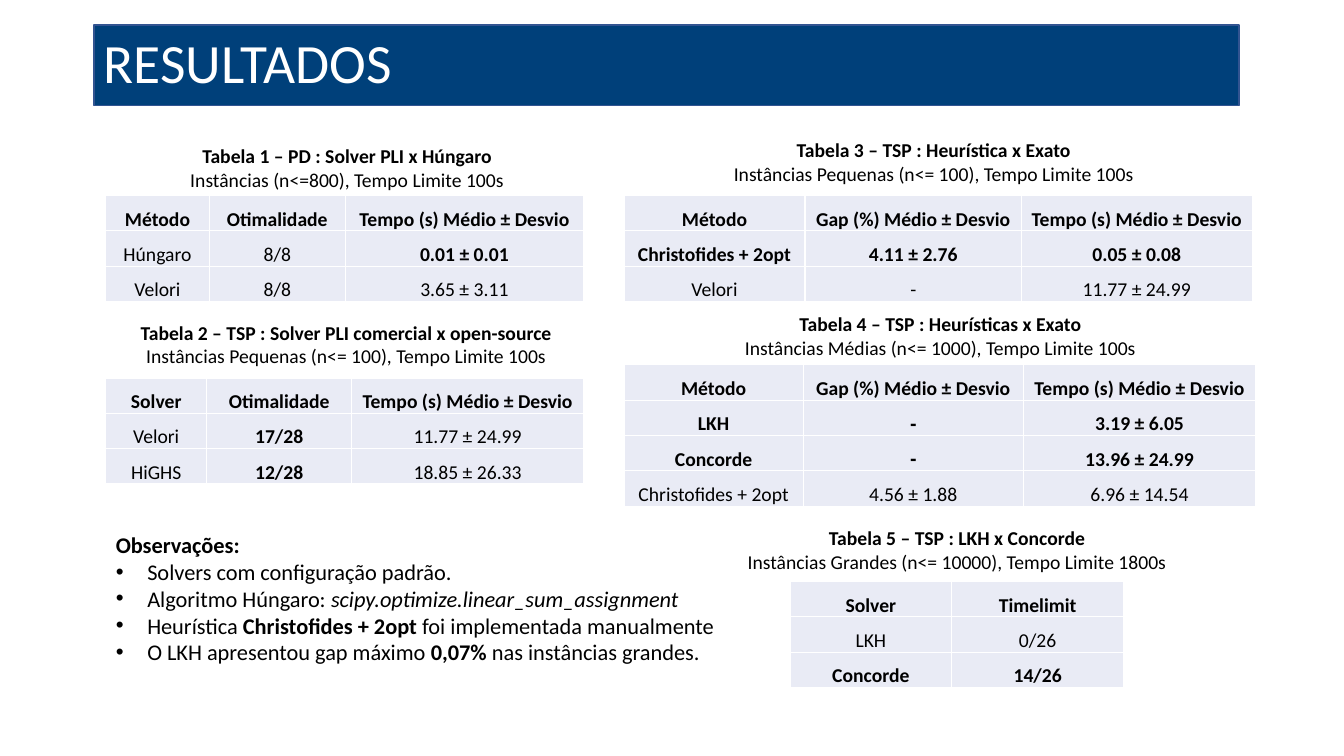
"""Build the RESULTADOS slide with five captioned result tables and observations."""
from lxml import etree
from pptx import Presentation
from pptx.dml.color import RGBColor
from pptx.enum.shapes import MSO_SHAPE
from pptx.enum.text import MSO_ANCHOR, MSO_AUTO_SIZE, PP_ALIGN
from pptx.oxml.ns import qn
from pptx.util import Pt

RECTANGLE = MSO_SHAPE.RECTANGLE
MIDDLE = MSO_ANCHOR.MIDDLE
FIT_SHAPE = MSO_AUTO_SIZE.SHAPE_TO_FIT_TEXT
LEFT, CENTER = PP_ALIGN.LEFT, PP_ALIGN.CENTER

NAVY = RGBColor(0x00, 0x40, 0x7A)
EDGE = RGBColor(0x32, 0x54, 0x91)
PALE = RGBColor(0xE9, 0xEB, 0xF5)
BLACK = RGBColor(0, 0, 0)
WHITE = RGBColor(255, 255, 255)
FONT, DASH_FONT = "Calibri", "Arial"
ROW_HEIGHT, CAPTION_HEIGHT, BULLET_INDENT = 22.6, 41, 22.5

TITLE = "RESULTADOS"
TITLE_BOX = (67, 18, 818, 57.6)
TIME = "Tempo (s) Médio ± Desvio"
GAP = "Gap (%) Médio ± Desvio"

TABLES = [
    {"caption": ("Tabela 1 – PD : Solver PLI x Húngaro",
                 "Instâncias (n<=800), Tempo Limite 100s"),
     "caption_at": (90, 99.4, 316), "at": (75.6, 139.7), "columns": (73.8, 97.4, 170),
     "rows": [("Método", "Otimalidade", TIME),
              ("Húngaro", "8/8", "0.01 ± 0.01"),
              ("Velori", "8/8", "3.65 ± 3.11")],
     "bold": {(1, 2)}},
    {"caption": ("Tabela 2 – TSP : Solver PLI comercial x open-source",
                 "Instâncias Pequenas (n<= 100), Tempo Limite 100s"),
     "caption_at": (67, 225.4, 360.7), "at": (75.6, 270), "columns": (72, 103.7, 165.6),
     "rows": [("Solver", "Otimalidade", TIME),
              ("Velori", "17/28", "11.77 ± 24.99"),
              ("HiGHS", "12/28", "18.85 ± 26.33")],
     "bold": {(1, 1), (2, 1)}},
    {"caption": ("Tabela 3 – TSP : Heurística x Exato",
                 "Instâncias Pequenas (n<= 100), Tempo Limite 100s"),
     "caption_at": (469.4, 95, 395.3), "at": (445.7, 139.7), "columns": (129.4, 154.6, 164.8),
     "rows": [("Método", GAP, TIME),
              ("Christofides + 2opt", "4.11 ± 2.76", "0.05 ± 0.08"),
              ("Velori", "-", "11.77 ± 24.99")],
     "bold": {(1, 0), (1, 1), (1, 2)}},
    {"caption": ("Tabela 4 – TSP : Heurísticas x Exato",
                 "Instâncias Médias (n<= 1000), Tempo Limite 100s"),
     "caption_at": (474.5, 219.6, 394.6), "at": (445.7, 260.6), "columns": (128.2, 157, 166.3),
     "rows": [("Método", GAP, TIME),
              ("LKH", "-", "3.19 ± 6.05"),
              ("Concorde", "-", "13.96 ± 24.99"),
              ("Christofides + 2opt", "4.56 ± 1.88", "6.96 ± 14.54")],
     "bold": {(1, 0), (1, 1), (1, 2), (2, 0), (2, 1), (2, 2)}},
    {"caption": ("Tabela 5 – TSP : LKH x Concorde",
                 "Instâncias Grandes (n<= 10000), Tempo Limite 1800s"),
     "caption_at": (502.6, 372.2, 362.2), "at": (564.5, 415.4), "columns": (115.2, 123.1),
     "rows": [("Solver", "Timelimit"),
              ("LKH", "0/26"),
              ("Concorde", "14/26")],
     "bold": {(2, 0), (2, 1)}},
]

OBSERVATIONS_BOX = (75.6, 375.8, 827.3, 106.6)
OBSERVATIONS_HEADING = "Observações:"
OBSERVATIONS = [
    [("Solvers com configuração padrão.", "")],
    [("Algoritmo Húngaro: ", ""), ("scipy.optimize.linear_sum_assignment", "italic")],
    [("Heurística ", ""), ("Christofides + 2opt ", "bold"),
     ("foi implementada manualmente", "")],
    [("O LKH apresentou gap máximo ", ""), ("0,07%", "bold"),
     (" nas instâncias grandes.", "")],
]


def style(paragraph, size, color=BLACK, bold=None, align=LEFT, name=FONT):
    paragraph.alignment = align
    font = paragraph.font
    font.name, font.size, font.bold = name, Pt(size), bold
    font.color.rgb = color


def add_text_box(slide, box):
    shape = slide.shapes.add_textbox(*map(Pt, box))
    shape.text_frame.word_wrap = True
    shape.text_frame.auto_size = FIT_SHAPE
    return shape.text_frame


def add_title(slide):
    shape = slide.shapes.add_shape(RECTANGLE, *map(Pt, TITLE_BOX))
    shape.shadow.inherit = False
    shape.fill.solid()
    shape.fill.fore_color.rgb = NAVY
    shape.line.color.rgb = EDGE
    shape.line.width = Pt(1)
    shape.text_frame.vertical_anchor = MIDDLE
    paragraph = shape.text_frame.paragraphs[0]
    paragraph.text = TITLE
    paragraph.line_spacing = 0.9
    style(paragraph, 39.6, WHITE)


def add_borders(cell):
    properties = cell._tc.get_or_add_tcPr()
    for position, side in enumerate(("a:lnL", "a:lnR", "a:lnT", "a:lnB")):
        line = etree.Element(qn(side), w=str(Pt(1)))
        fill = etree.SubElement(line, qn("a:solidFill"))
        etree.SubElement(fill, qn("a:srgbClr"), val=str(WHITE))
        properties.insert(position, line)


def fill_cell(cell, text, bold):
    cell.fill.solid()
    cell.fill.fore_color.rgb = PALE
    cell.vertical_anchor = MIDDLE
    cell.margin_top = cell.margin_bottom = 0
    paragraph = cell.text_frame.paragraphs[0]
    paragraph.text = text
    paragraph.line_spacing = 1.5
    paragraph.space_after = Pt(8)
    name = DASH_FONT if bold and text == "-" else FONT
    style(paragraph, 14, bold=bold, align=CENTER, name=name)
    add_borders(cell)


def add_result_table(slide, content):
    frame = add_text_box(slide, (*content["caption_at"], CAPTION_HEIGHT))
    heading, detail = content["caption"]
    frame.text = heading
    style(frame.paragraphs[0], 14, bold=True, align=CENTER)
    paragraph = frame.add_paragraph()
    paragraph.text = detail
    style(paragraph, 14, align=CENTER)

    rows, columns = content["rows"], content["columns"]
    box = (*content["at"], sum(columns), ROW_HEIGHT * len(rows))
    table = slide.shapes.add_table(len(rows), len(columns), *map(Pt, box)).table
    table.first_row = table.horz_banding = False
    for column, width in zip(table.columns, columns):
        column.width = Pt(width)
    for row, texts in enumerate(rows):
        for column, text in enumerate(texts):
            bold = row == 0 or (row, column) in content["bold"]
            fill_cell(table.cell(row, column), text, bold)


def add_observations(slide):
    frame = add_text_box(slide, OBSERVATIONS_BOX)
    frame.text = OBSERVATIONS_HEADING
    style(frame.paragraphs[0], 16, bold=True)
    for observation in OBSERVATIONS:
        paragraph = frame.add_paragraph()
        style(paragraph, 16)
        properties = paragraph._p.get_or_add_pPr()
        properties.set("marL", str(Pt(BULLET_INDENT)))
        properties.set("indent", str(-Pt(BULLET_INDENT)))
        bullet_font = etree.Element(qn("a:buFont"), typeface="Arial")
        bullet = etree.Element(qn("a:buChar"), char="•")
        properties.insert(0, bullet_font)
        properties.insert(1, bullet)
        for text, emphasis in observation:
            run = paragraph.add_run()
            run.text = text
            if emphasis:
                setattr(run.font, emphasis, True)


def main():
    presentation = Presentation()
    presentation.slide_width, presentation.slide_height = Pt(960), Pt(540)
    slide = presentation.slides.add_slide(presentation.slide_layouts[6])
    add_title(slide)
    for content in TABLES:
        add_result_table(slide, content)
    add_observations(slide)
    presentation.save("out.pptx")


if __name__ == "__main__":
    main()
